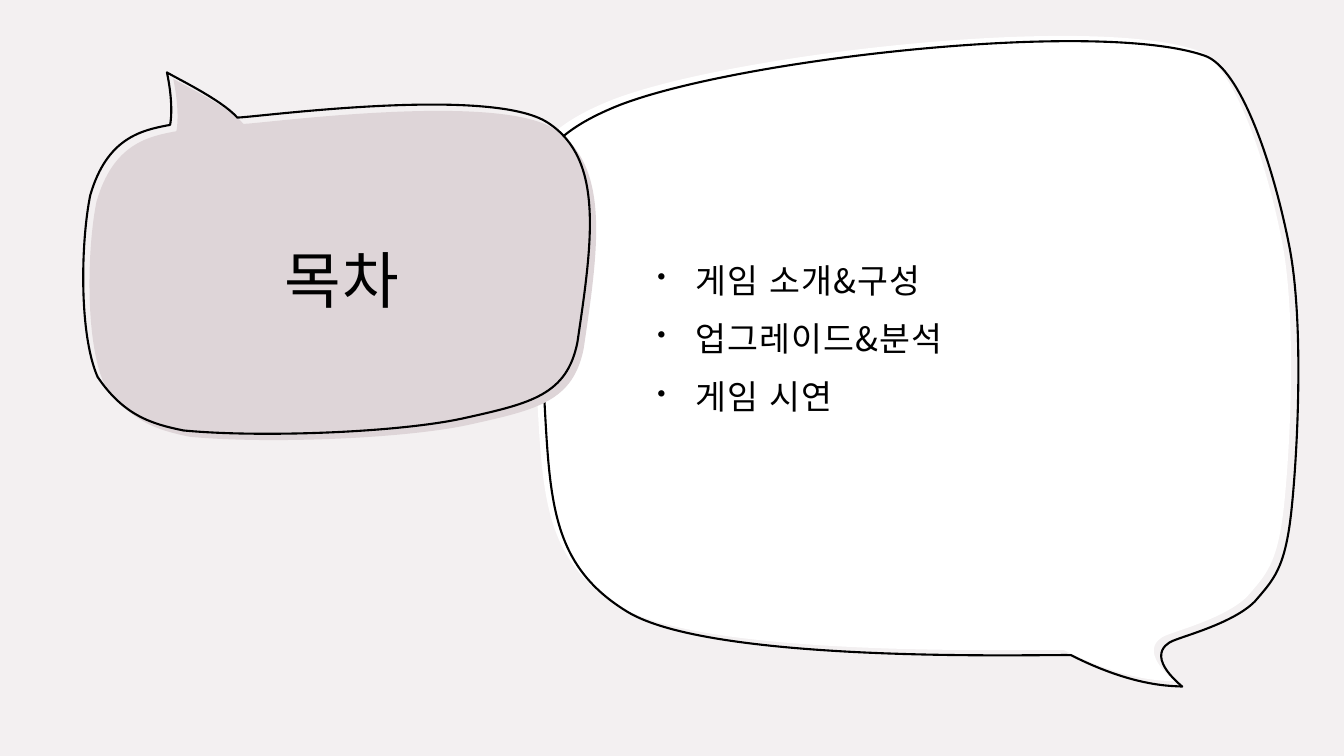
"""Builds the contents slide: two hand-drawn speech bubbles with a title and an agenda."""
import math

import pptx
import pptx.dml.color
import pptx.enum.shapes
import pptx.enum.text
import pptx.oxml.ns
import pptx.util
from lxml import etree

PX = 9525
SLIDE_SIZE = (1280 * PX, 720 * PX)
FONT = "Noto Sans CJK KR"
COLORS = {"background": "F3F0F1", "agenda": "FFFFFF", "title": "DED5D8", "ink": "000000"}

AGENDA_CURVES = [
    (1123, 600, 1168, 588, 1188, 568),
    (1206, 547, 1217, 537, 1223, 481),
    (1229, 424, 1235, 302, 1221, 230),
    (1207, 158, 1176, 60, 1140, 48),
    (1036, 12, 681, 53, 576, 98),
    (470, 143, 499, 198, 508, 318),
    (518, 455, 507, 527, 591, 578),
    (675, 628, 991, 618, 1013, 619),
    (1076, 651, 1113, 648, 1119, 649),
    (1079, 615, 1111, 605, 1111, 605),
]
TITLE_CURVES = [
    (173, 80, 217, 101, 232, 118),
    (248, 118, 474, 87, 528, 123),
    (582, 158, 570, 237, 556, 332),
    (546, 382, 512, 390, 449, 404),
    (387, 418, 254, 423, 181, 416),
    (151, 410, 124, 402, 99, 365),
    (81, 324, 83, 236, 92, 192),
    (108, 137, 141, 130, 168, 125),
    (168, 125, 172, 108, 165, 75),
]
BUBBLES = [
    {"color": "agenda", "curves": AGENDA_CURVES, "frame": (504, 39, 726, 620),
     "rotation": 357.5, "shift": (7, 5), "text_place": (614, 119, 536, 400),
     "lines": ["게임 소개&구성", "업그레이드&분석", "게임 시연"],
     "size": 24, "spacing": 1.1, "tracking": 80},
    {"color": "title", "curves": TITLE_CURVES, "frame": (82, 61, 489, 357),
     "rotation": 354.9, "shift": (-6, -6), "text_place": (129, 151, 393, 219),
     "lines": ["목차"], "size": 44, "spacing": 1.13, "tracking": 100},
]


def color(name):
    return pptx.dml.color.RGBColor.from_string(COLORS[name])


def add_bubble(curves, frame, rotation, shift):
    left, top, width, height = (length * PX for length in frame)
    center_x, center_y = left + width / 2, top + height / 2
    cosine, sine = math.cos(math.radians(rotation)), math.sin(math.radians(rotation))
    points = []
    for curve in [curves[-1][-2:], *curves]:
        for x, y in zip(curve[::2], curve[1::2]):
            dx, dy = x * PX - center_x, y * PX - center_y
            points.append((round(center_x + dx * cosine + dy * sine),
                           round(center_y - dx * sine + dy * cosine)))
    builder = slide.shapes.build_freeform(*points[0], scale=1.0)
    builder.add_line_segments(points[1:], close=True)
    bubble = builder.convert_to_shape()

    outline = next(bubble._element.iter(pptx.oxml.ns.qn("a:path")))
    outline.set("w", str(width))
    outline.set("h", str(height))
    for point, (x, y) in zip(outline.iter(pptx.oxml.ns.qn("a:pt")), points):
        point.set("x", str(x - left))
        point.set("y", str(y - top))
    segments = outline.findall(pptx.oxml.ns.qn("a:lnTo"))
    for first in range(0, len(segments), 3):
        bezier = etree.Element(pptx.oxml.ns.qn("a:cubicBezTo"))
        segments[first].addprevious(bezier)
        for segment in segments[first:first + 3]:
            bezier.append(segment[0])
            outline.remove(segment)

    bubble.left, bubble.top = left + shift[0] * PX, top + shift[1] * PX
    bubble.width, bubble.height = width, height
    bubble.rotation = rotation
    bubble.shadow.inherit = False
    return bubble


presentation = pptx.Presentation()
presentation.slide_width, presentation.slide_height = SLIDE_SIZE
slide = presentation.slides.add_slide(presentation.slide_layouts[6])
slide.background.fill.solid()
slide.background.fill.fore_color.rgb = color("background")

backdrop = slide.shapes.add_shape(pptx.enum.shapes.MSO_SHAPE.RECTANGLE, 0, 0, *SLIDE_SIZE)
backdrop.shadow.inherit = False
backdrop.fill.solid()
backdrop.fill.fore_color.rgb = color("background")
backdrop.line.fill.background()

for bubble in BUBBLES:
    geometry = bubble["curves"], bubble["frame"], bubble["rotation"]
    body = add_bubble(*geometry, (0, 0))
    body.fill.solid()
    body.fill.fore_color.rgb = color(bubble["color"])
    body.line.fill.background()
    contour = add_bubble(*geometry, bubble["shift"])
    contour.fill.background()
    contour.line.color.rgb = color("ink")
    contour.line.width = pptx.util.Pt(1.5)

for bubble in BUBBLES:
    place = (length * PX for length in bubble["text_place"])
    words = slide.shapes.add_textbox(*place).text_frame
    words.word_wrap = True
    words.vertical_anchor = pptx.enum.text.MSO_ANCHOR.MIDDLE
    words.margin_left = words.margin_top = words.margin_right = 12 * PX
    words.margin_bottom = 10 * PX
    words.text = "\n".join(bubble["lines"])
    for index, paragraph in enumerate(words.paragraphs):
        paragraph.line_spacing = bubble["spacing"]
        if bubble["color"] == "agenda":
            paragraph.space_before = pptx.util.Pt(10 if index else 0)
            properties = paragraph._p.get_or_add_pPr()
            properties.set("marL", str(36 * PX))
            properties.set("indent", str(-36 * PX))
            etree.SubElement(properties, pptx.oxml.ns.qn("a:buSzPct"), val="73000")
            etree.SubElement(properties, pptx.oxml.ns.qn("a:buChar"), char="•")
        else:
            paragraph.alignment = pptx.enum.text.PP_ALIGN.CENTER
        paragraph.font.size = pptx.util.Pt(bubble["size"])
        paragraph.font.name = FONT
        paragraph.font.color.rgb = color("ink")
        for run in paragraph.runs:
            run_properties = run._r.get_or_add_rPr()
            run_properties.set("lang", "ko-KR")
            run_properties.set("spc", str(bubble["tracking"]))
            etree.SubElement(run_properties, pptx.oxml.ns.qn("a:ea"), typeface=FONT)

presentation.save("out.pptx")
